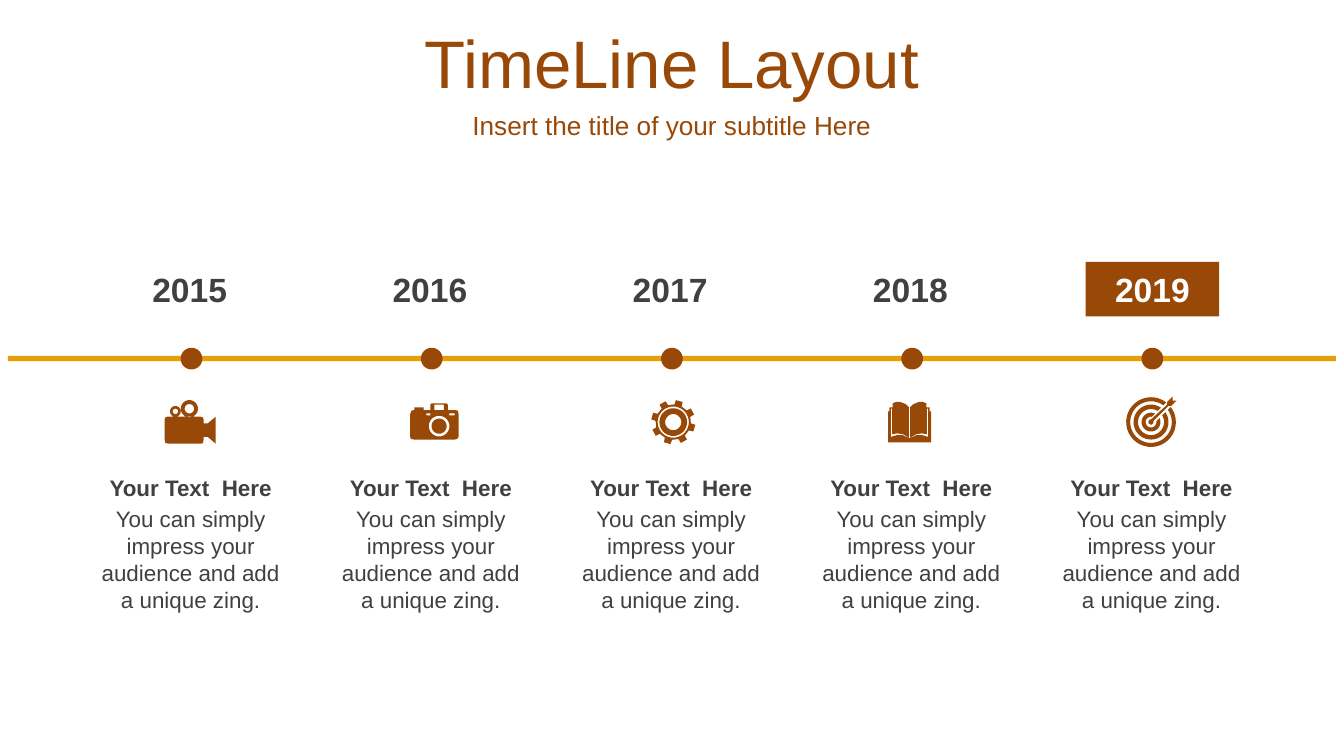
import dataclasses
import math

import pptx
import pptx.dml.color
import pptx.enum.shapes
import pptx.enum.text
import pptx.util

Cm = pptx.util.Cm
Shape = pptx.enum.shapes.MSO_SHAPE


@dataclasses.dataclass(frozen=True)
class Theme:
    font: str = "Arial"
    brown: str = "984807"
    amber: str = "E79F05"
    dark: str = "404040"
    white: str = "FFFFFF"
    title: int = 36
    year: int = 18
    subtitle: int = 14
    body: int = 12


THEME = Theme()
PAGE_WIDTH, PAGE_HEIGHT = 25.4, 14.29
COLUMN_GAP = 4.54
LINE_Y, ICON_Y = 6.78, 7.98
ICON_UNIT = 0.0254  # cm per unit of the icon grids below


def write(shape, text, size, color=THEME.dark, bold=False, wrap=True, middle=False):
    frame = shape.text_frame
    frame.word_wrap = wrap
    anchors = pptx.enum.text.MSO_ANCHOR
    frame.vertical_anchor = anchors.MIDDLE if middle else anchors.TOP
    para = frame.paragraphs[0]
    para.alignment = pptx.enum.text.PP_ALIGN.CENTER
    span = para.add_run()
    span.text = text
    span.font.name = THEME.font
    span.font.size = pptx.util.Pt(size)
    span.font.bold = bold
    span.font.color.rgb = pptx.dml.color.RGBColor.from_string(color)


class Page:
    def __init__(self, slide):
        self.shapes = slide.shapes

    def paint(self, shape, color):
        shape.shadow.inherit = False
        shape.fill.solid()
        shape.fill.fore_color.rgb = pptx.dml.color.RGBColor.from_string(color)
        shape.line.fill.background()
        return shape

    def block(self, kind, left, top, width, height, color):
        shape = self.shapes.add_shape(kind, Cm(left), Cm(top), Cm(width), Cm(height))
        return self.paint(shape, color)

    def text(self, left, top, width, height, text, size, **style):
        box = self.shapes.add_textbox(Cm(left), Cm(top), Cm(width), Cm(height))
        write(box, text, size, **style)

    def icon(self, center_x, center_y, contours):
        """Draw closed contours as one shape; nested contours become holes."""
        builder = None
        for contour in contours:
            points = [(Cm(center_x + x * ICON_UNIT), Cm(center_y + y * ICON_UNIT))
                      for x, y in contour]
            if builder is None:
                builder = self.shapes.build_freeform(*points[0], scale=1.0)
            else:
                builder.move_to(*points[0])
            builder.add_line_segments(points[1:], close=True)
        self.paint(builder.convert_to_shape(), THEME.brown)


def polar(x, y, radius, degrees):
    angle = math.radians(degrees)
    return x + radius * math.cos(angle), y + radius * math.sin(angle)


def circle(x, y, radius):
    return [polar(x, y, radius, step * 10) for step in range(36)]


def rectangle(left, top, right, bottom):
    return [(left, top), (right, top), (right, bottom), (left, bottom)]


def open_ring(x, y, outer, inner, slot=2.4):
    """Ring with a slot of the given half width towards the upper right."""
    edges = []
    for radius in (outer, inner):
        gap = math.degrees(math.asin(slot / radius))
        sweep = 360 - 2 * gap
        edges.append([polar(x, y, radius, gap - 45 + sweep * step / 36)
                      for step in range(37)])
    return edges[0] + edges[1][::-1]


def movie_camera():
    body = [(-18, -4), (7, -4), (8.5, -3.5), (9, -2), (9, 1), (11, 1), (12, 1),
            (18, -4), (18, 16), (12, 11), (9, 11), (9, 13), (8.5, 15.5), (7, 16),
            (-17, 16), (-19.5, 15.5), (-20, 13), (-20, -2), (-19.5, -3.5)]
    return [body, circle(-1.6, -10, 6.4), circle(-1.6, -10, 3.5),
            circle(-12, -8, 4), circle(-12, -8, 2)]


def photo_camera():
    body = [(-16, -6), (-15, -8.5), (-13, -9), (-13, -11), (-6, -11), (-6, -9),
            (-1, -9), (-1, -13), (0, -14), (11, -14), (12, -13), (12, -9),
            (17, -9), (19.5, -8.5), (20, -6), (20, 11), (19, 12.5), (17, 13),
            (-13, 13), (-15.5, 12.5), (-16, 11)]
    return [body, circle(5.5, 3, 7.7), circle(5.5, 3, 5.6), rectangle(2, -13, 9, -9),
            rectangle(-4, -6.5, -1, -5), rectangle(13, -6.5, 17, -5)]


def gear():
    teeth = [polar(1, 0, radius, tooth * 45 - 74 + offset) for tooth in range(8)
             for radius, offset in ((13.2, -12), (16.5, -9), (16.5, 9), (13.2, 12))]
    return [teeth] + [circle(1, 0, radius) for radius in (11.6, 10.3, 6)]


def book():
    spine = -2
    half = [(0.3, 12), (5, 9.8), (9, 9.6), (13.8, 11), (13.8, -10), (13, -10),
            (13, 9), (9, 8.4), (5, 9), (0.4, 11.6), (0.4, -11), (3, -13.5),
            (7, -15), (10, -15), (12.6, -14), (12.6, -11), (15, -11), (15, -8),
            (16, -8), (16, 15)]
    return [[(spine + x, y) for x, y in half]
            + [(spine - x, y) for x, y in reversed(half)]]


def target():
    arrow = [(15, -19), (15, -16), (18, -16), (14, -12), (12, -12), (1, -1),
             (0.5, 1.2), (-1, 2), (-2.5, 1.2), (-3, 0), (-2.5, -1.5), (-1, -2),
             (11, -13), (11, -15)]
    rings = [open_ring(-1, 0, outer, inner)
             for outer, inner in ((18.5, 15.5), (13, 9.7), (7, 4))]
    return rings + [arrow]


def add_milestone(page, center, year, icon, current):
    dot = 0.41
    page.block(Shape.OVAL, center - dot / 2, LINE_Y - dot / 2, dot, dot, THEME.brown)
    if current:
        tag = page.block(Shape.RECTANGLE, center - 1.26, 4.95, 2.52, 1.03, THEME.brown)
        write(tag, year, THEME.year, color=THEME.white, bold=True)
    else:
        page.text(center - 1, 4.95, 1.93, 1.03, year, THEME.year, bold=True, wrap=False)
    page.icon(center, ICON_Y, icon)
    page.text(center - 1.96, 8.83, 3.89, 0.77, "Your Text  Here", THEME.body, bold=True)
    page.text(center - 1.96, 9.43, 3.89, 2.31,
              "You can simply impress your audience and add a unique zing.", THEME.body)


def main():
    deck = pptx.Presentation()
    deck.slide_width, deck.slide_height = Cm(PAGE_WIDTH), Cm(PAGE_HEIGHT)
    page = Page(deck.slides.add_slide(deck.slide_layouts[6]))

    page.text(0, 0.36, PAGE_WIDTH, 1.6, "TimeLine Layout", THEME.title,
              color=THEME.brown, middle=True)
    page.text(0, 1.96, PAGE_WIDTH, 0.8, "Insert the title of your subtitle Here",
              THEME.subtitle, color=THEME.brown, middle=True)
    page.block(Shape.RECTANGLE, 0.15, LINE_Y - 0.05, 25.1, 0.1, THEME.amber)

    icons = (movie_camera(), photo_camera(), gear(), book(), target())
    for index, icon in enumerate(icons):
        center = PAGE_WIDTH / 2 + (index - 2) * COLUMN_GAP
        add_milestone(page, center, str(2015 + index), icon,
                      current=index == len(icons) - 1)
    deck.save("out.pptx")


if __name__ == "__main__":
    main()
